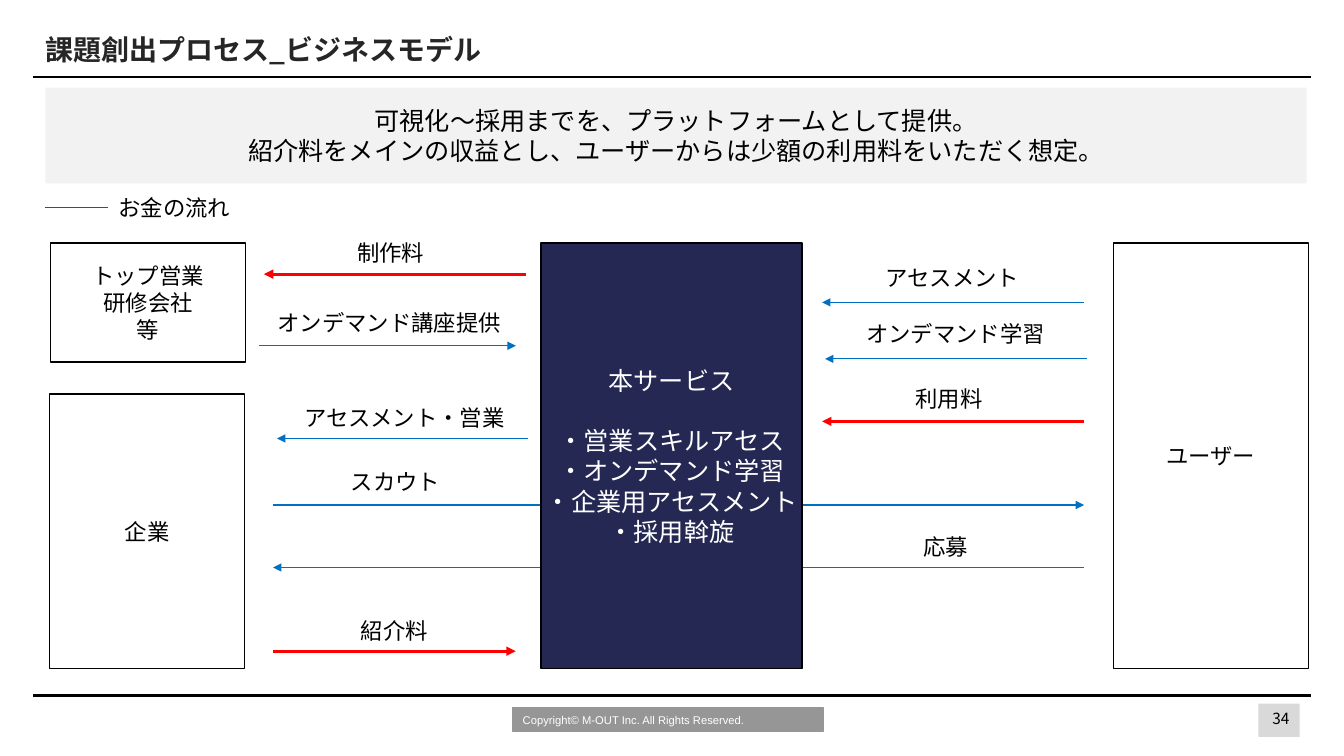
from dataclasses import dataclass

from lxml.etree import SubElement
from pptx import Presentation
from pptx.dml.color import RGBColor
from pptx.enum.shapes import MSO_CONNECTOR, MSO_SHAPE
from pptx.enum.text import MSO_ANCHOR, MSO_AUTO_SIZE, PP_ALIGN
from pptx.oxml.ns import qn
from pptx.util import Inches, Pt

FONT = "Noto Sans CJK JP"
BLACK, WHITE, NAVY = "000000", "FFFFFF", "242852"
RED, BLUE = "FF0000", "0070C0"


@dataclass
class Box:
    text: str
    x: float
    y: float
    w: float
    h: float
    fill: str | None = None
    line: str | None = BLACK
    size: float = 16
    color: str = BLACK
    font: str = FONT
    align: PP_ALIGN = PP_ALIGN.CENTER
    inset: float = 0.04
    wrap: bool = False


@dataclass
class Flow:
    x1: float
    x2: float
    y: float
    color: str = BLUE
    width: float = 0.75
    arrow: bool = True


@dataclass
class Label:
    text: str
    x: float
    y: float
    w: float = 3.73


THROUGH_FLOWS = [Flow(2.71, 10.76, 5.01), Flow(10.76, 2.71, 5.63)]
FLOWS = [
    Flow(5.22, 2.62, 2.72, RED, 2.25),
    Flow(2.57, 5.12, 3.43),
    Flow(5.24, 2.75, 4.35),
    Flow(2.71, 5.12, 6.46, RED, 2.25),
    Flow(10.76, 8.16, 3),
    Flow(10.79, 8.19, 3.56),
    Flow(10.76, 8.16, 4.18, RED, 2.25),
    Flow(0.45, 1.07, 2.06, RED, 1, arrow=False),
]
RULES = [Flow(0.33, 13.01, y, BLACK, 1.5, arrow=False) for y in (0.76, 6.9)]
LABELS = [
    Label("お金の流れ", 0.81, 1.88, 1.84),
    Label("制作料", 2.96, 2.32, 1.84),
    Label("オンデマンド講座提供", 2, 3.02),
    Label("アセスメント・営業", 2.8, 3.96, 2.43),
    Label("スカウト", 2.06, 4.6),
    Label("紹介料", 2.05, 6.07),
    Label("アセスメント", 7.59, 2.57),
    Label("オンデマンド学習", 7.62, 3.13),
    Label("利用料", 8.5, 3.77, 1.84),
    Label("応募", 7.52, 5.24),
]
FOOTER = [
    Box("", 12.49, 6.98, 0.41, 0.33, "D9D9D9", None),
    Box("Copyright© M-OUT Inc. All Rights Reserved.", 5.09, 7.02, 3.08, 0.24,
        "969696", "969696", 8, WHITE, "Arial", PP_ALIGN.LEFT, 0.1, True),
]
MESSAGE = Box(
    "可視化〜採用までを、プラットフォームとして提供。\n"
    "紹介料をメインの収益とし、ユーザーからは少額の利用料をいただく想定。",
    0.45, 0.87, 12.52, 0.95, "F2F2F2", None, 18, inset=0.1)
PARTIES = [
    Box("企業", 0.49, 3.91, 1.94, 2.72),
    Box("トップ営業\n研修会社\n等", 0.5, 2.41, 1.94, 1.18),
    Box("ユーザー", 11.05, 2.41, 1.94, 4.22),
]
SERVICE = Box(
    "本サービス\n・営業スキルアセス\n・オンデマンド学習\n・企業用アセスメント\n・採用斡旋",
    5.37, 2.41, 2.59, 4.22, NAVY, size=18, color=WHITE)


def rgb(value: str) -> RGBColor:
    return RGBColor.from_string(value)


def write(tf, text: str, *, size: float = 16, color: str = BLACK, font: str = FONT,
          bold: bool = False, align=PP_ALIGN.CENTER, anchor=MSO_ANCHOR.TOP,
          inset: float = 0.1, inset_y: float = 0.05, wrap: bool = True) -> None:
    """Fill a text frame, one paragraph per line of text."""
    tf.auto_size = MSO_AUTO_SIZE.NONE
    tf.word_wrap = wrap
    tf.vertical_anchor = anchor
    tf.margin_left = tf.margin_right = Inches(inset)
    tf.margin_top = tf.margin_bottom = Inches(inset_y)
    for i, line in enumerate(text.split("\n")):
        p = tf.paragraphs[0] if i == 0 else tf.add_paragraph()
        p.alignment = align
        r = p.add_run()
        r.text = line
        r.font.size, r.font.bold, r.font.name = Pt(size), bold, font
        r.font.color.rgb = rgb(color)
        SubElement(r.font._element, qn("a:ea")).set("typeface", font)


def add_box(s, box: Box):
    sp = s.shapes.add_shape(MSO_SHAPE.RECTANGLE, Inches(box.x), Inches(box.y),
                            Inches(box.w), Inches(box.h))
    sp.shadow.inherit = False
    if box.fill:
        sp.fill.solid()
        sp.fill.fore_color.rgb = rgb(box.fill)
    else:
        sp.fill.background()
    if box.line:
        sp.line.color.rgb = rgb(box.line)
        sp.line.width = Pt(1)
    else:
        sp.line.fill.background()
    if box.text:
        write(sp.text_frame, box.text, size=box.size, color=box.color, font=box.font,
              align=box.align, anchor=MSO_ANCHOR.MIDDLE, inset=box.inset,
              inset_y=min(box.inset, 0.05), wrap=box.wrap)
    return sp


def add_flow(s, flow: Flow) -> None:
    cxn = s.shapes.add_connector(MSO_CONNECTOR.STRAIGHT, Inches(flow.x1), Inches(flow.y),
                                 Inches(flow.x2), Inches(flow.y))
    cxn.line.color.rgb = rgb(flow.color)
    cxn.line.width = Pt(flow.width)
    if flow.arrow:
        SubElement(cxn.line._get_or_add_ln(), qn("a:tailEnd")).set("type", "triangle")
    SubElement(cxn._element.spPr, qn("a:effectLst"))


def add_label(s, label: Label, h: float = 0.37, **fmt) -> None:
    tb = s.shapes.add_textbox(Inches(label.x), Inches(label.y), Inches(label.w), Inches(h))
    write(tb.text_frame, label.text, **fmt)


def main() -> None:
    prs = Presentation()
    prs.slide_width, prs.slide_height = Inches(13.34), Inches(7.5)
    s = prs.slides.add_slide(prs.slide_layouts[5])

    title = s.shapes.title
    title.left, title.top = Inches(0.35), Inches(0.21)
    title.width, title.height = Inches(10), Inches(0.55)
    write(title.text_frame, "課題創出プロセス_ビジネスモデル", size=20, color="262626",
          bold=True, align=PP_ALIGN.LEFT, anchor=MSO_ANCHOR.MIDDLE)

    for box in FOOTER:
        add_box(s, box)
    add_label(s, Label("34", 12.56, 6.99, 0.31), h=0.25, size=11, wrap=False)
    for flow in RULES + THROUGH_FLOWS:
        add_flow(s, flow)
    for box in [MESSAGE, *PARTIES]:
        add_box(s, box)
    service = add_box(s, SERVICE)
    service.text_frame.paragraphs[1].space_before = Pt(21.7)
    for flow in FLOWS:
        add_flow(s, flow)
    for label in LABELS:
        add_label(s, label)

    prs.save("out.pptx")


if __name__ == "__main__":
    main()
